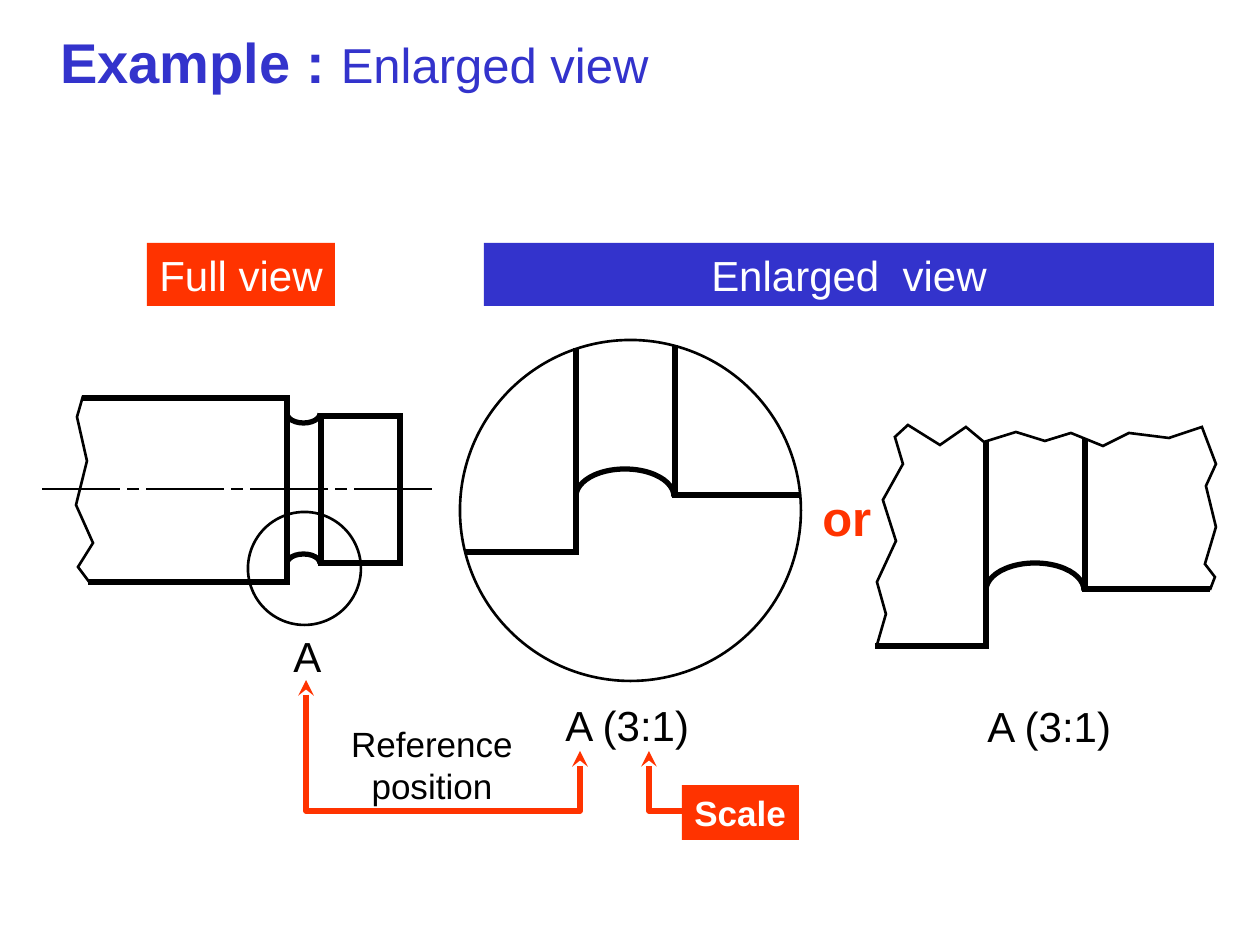
from lxml.etree import SubElement
from pptx import Presentation
from pptx.dml.color import RGBColor
from pptx.enum.shapes import MSO_CONNECTOR as Connector, MSO_SHAPE as Shape
from pptx.enum.text import MSO_AUTO_SIZE as AutoSize, PP_ALIGN as Align
from pptx.oxml.ns import qn
from pptx.util import Pt

PX = 914400 / 126
FONT = "Arial"
BLACK, WHITE, BLUE, RED = "000000", "FFFFFF", "3333CC", "FF3300"
THIN, THICK = 1.5, 3


def px(length):
    """Turn pixels into EMU."""
    return round(length * PX)


def paint(target, color):
    """Give a fill or line format a solid hex colour."""
    target.fill.solid()
    target.fill.fore_color.rgb = RGBColor.from_string(color)


def outline(shape, width, color=BLACK, join="miter"):
    """Leave a shape unfilled and unshadowed, with a plain outline."""
    shape.shadow.inherit = False
    shape.fill.background()
    paint(shape.line, color)
    shape.line.width = Pt(width)
    SubElement(shape.line._get_or_add_ln(), qn(f"a:{join}"))
    return shape


def add_span(para, text, size=24, color=BLACK, bold=False):
    """Add formatted text to a paragraph."""
    span = para.add_run()
    span.text = text
    span.font.name = FONT
    span.font.size = Pt(size)
    span.font.bold = bold
    span.font.color.rgb = RGBColor.from_string(color)


def add_label(page, box, text, fill=None, align=Align.LEFT, **style):
    """Add a text box with one paragraph per line and return the last one."""
    label = page.shapes.add_textbox(*map(px, box))
    if fill:
        paint(label, fill)
    frame = label.text_frame
    frame.word_wrap = True
    frame.auto_size = AutoSize.SHAPE_TO_FIT_TEXT
    if align == Align.LEFT:
        frame.margin_right = 0
    for number, line in enumerate(text.split("\n")):
        para = frame.add_paragraph() if number else frame.paragraphs[0]
        para.alignment = align
        add_span(para, line, **style)
    return para


def add_path(parent, origin, points, width=THICK, **style):
    """Draw an open path through points measured from the origin."""
    builder = parent.shapes.build_freeform(*points[0], scale=PX)
    builder.add_line_segments(points[1:], close=False)
    return outline(builder.convert_to_shape(*map(px, origin)), width, **style)


def add_outline(parent, kind, box, width):
    """Draw an unfilled preset shape."""
    return outline(parent.shapes.add_shape(kind, *map(px, box)), width)


def add_arc(parent, box, start, end):
    """Draw half of the ellipse in a box, from one angle to another."""
    arc = add_outline(parent, Shape.ARC, box, THICK)
    for index, angle in enumerate((start, end)):
        arc.adjustments[index] = angle * 0.6


def add_centre_line(parent, left, top):
    """Draw a chain line of alternating long and short strokes."""
    period = 104
    strokes = [(i * period, i * period + 78) for i in range(4)]
    strokes += [(i * period + 85, i * period + 97) for i in range(3)]
    for start, end in strokes:
        stroke = parent.shapes.add_connector(
            Connector.STRAIGHT, px(left + end), px(top), px(left + start), px(top))
        paint(stroke.line, BLACK)
        stroke.line.width = Pt(THIN)
        SubElement(stroke._element.spPr, qn("a:effectLst"))


def draw_full_view(page, left, top):
    """Draw the broken shaft with its grooves and the circled region."""
    group = page.shapes.add_group_shape()
    add_path(group, (left, top), [(46, 186), (245, 186), (245, 2), (40, 2)])
    add_path(group, (left, top), [(41, 0), (35, 21), (45, 65), (34, 109),
                                  (51, 147), (36, 171), (48, 187)], THIN)
    add_outline(group, Shape.RECTANGLE, (left + 279, top + 20, 79, 147), THICK)
    add_arc(group, (left + 245, top + 8, 33, 19), 0, 180)
    add_arc(group, (left + 245, top + 158, 33, 19), 180, 0)
    add_centre_line(group, left, top + 93)
    add_outline(page, Shape.OVAL, (left + 206, top + 116, 113, 113), THIN)


def draw_groove(parent, left, top):
    """Draw the enlarged groove between the step and the shoulder."""
    add_path(parent, (left, top), [(0, 207), (111, 207), (111, 3)])
    add_path(parent, (left, top), [(210, 0), (210, 150), (335, 150)])
    add_arc(parent, (left + 111, top + 124, 98, 55), 180, 0)


def draw_round_detail(page, left, top):
    """Draw the groove bounded by a circle."""
    group = page.shapes.add_group_shape()
    draw_groove(group, left + 5, top + 5)
    add_outline(group, Shape.OVAL, (left, top, 341, 341), THIN)


def draw_broken_detail(page, left, top):
    """Draw the groove bounded by a break line."""
    group = page.shapes.add_group_shape()
    add_path(group, (left, top), [
        (3, 220), (12, 189), (3, 157), (22, 116), (9, 75), (29, 39),
        (21, 12), (34, 0), (66, 20), (92, 2), (110, 17), (142, 7),
        (171, 16), (197, 8), (229, 21), (255, 8), (295, 13), (328, 2),
        (342, 39), (332, 61), (342, 102), (331, 139), (341, 152), (336, 165)], THIN)
    draw_groove(group, left + 1, top + 14)


def draw_arrow(page, origin, points, *ends):
    """Draw a red bent arrow with stealth tips at the named ends."""
    arrow = add_path(page, origin, points, color=RED, join="round")
    for end in ends:
        SubElement(arrow.line._get_or_add_ln(), qn(f"a:{end}"), type="stealth")


def draw_notes(page, left, top):
    """Place the arrows that explain the reference letter and the scale."""
    draw_arrow(page, (left, top), [(0, 0), (0, 131), (274, 131), (274, 71)],
               "headEnd", "tailEnd")
    add_label(page, (left + 28, top + 36, 196, 97), "Reference\nposition",
              align=Align.CENTER, size=20)
    add_label(page, (left + 376, top + 105, 117, 55), "Scale", fill=RED,
              size=20, color=WHITE, bold=True)
    draw_arrow(page, (left, top), [(378, 131), (343, 131), (343, 71)], "tailEnd")


def main():
    """Build the slide and save it."""
    deck = Presentation()
    deck.slide_width, deck.slide_height = px(1260), px(945)
    page = deck.slides.add_slide(deck.slide_layouts[6])
    title = add_label(page, (48, 21, 612, 81), "Example : ",
                      size=32, color=BLUE, bold=True)
    add_span(title, "Enlarged view", size=28, color=BLUE)
    add_label(page, (147, 243, 188, 63), "Full view", fill=RED, color=WHITE)
    add_label(page, (484, 243, 730, 63), "Enlarged  view", fill=BLUE,
              align=Align.CENTER, color=WHITE)
    draw_full_view(page, 42, 396)
    draw_round_detail(page, 460, 340)
    draw_broken_detail(page, 874, 425)
    add_label(page, (281, 624, 53, 63), "A")
    add_label(page, (553, 693, 151, 63), "A (3:1)")
    add_label(page, (975, 694, 151, 63), "A (3:1)")
    add_label(page, (810, 481, 74, 72), "or", size=28, color=RED, bold=True)
    draw_notes(page, 306, 680)
    deck.save("out.pptx")


if __name__ == "__main__":
    main()
